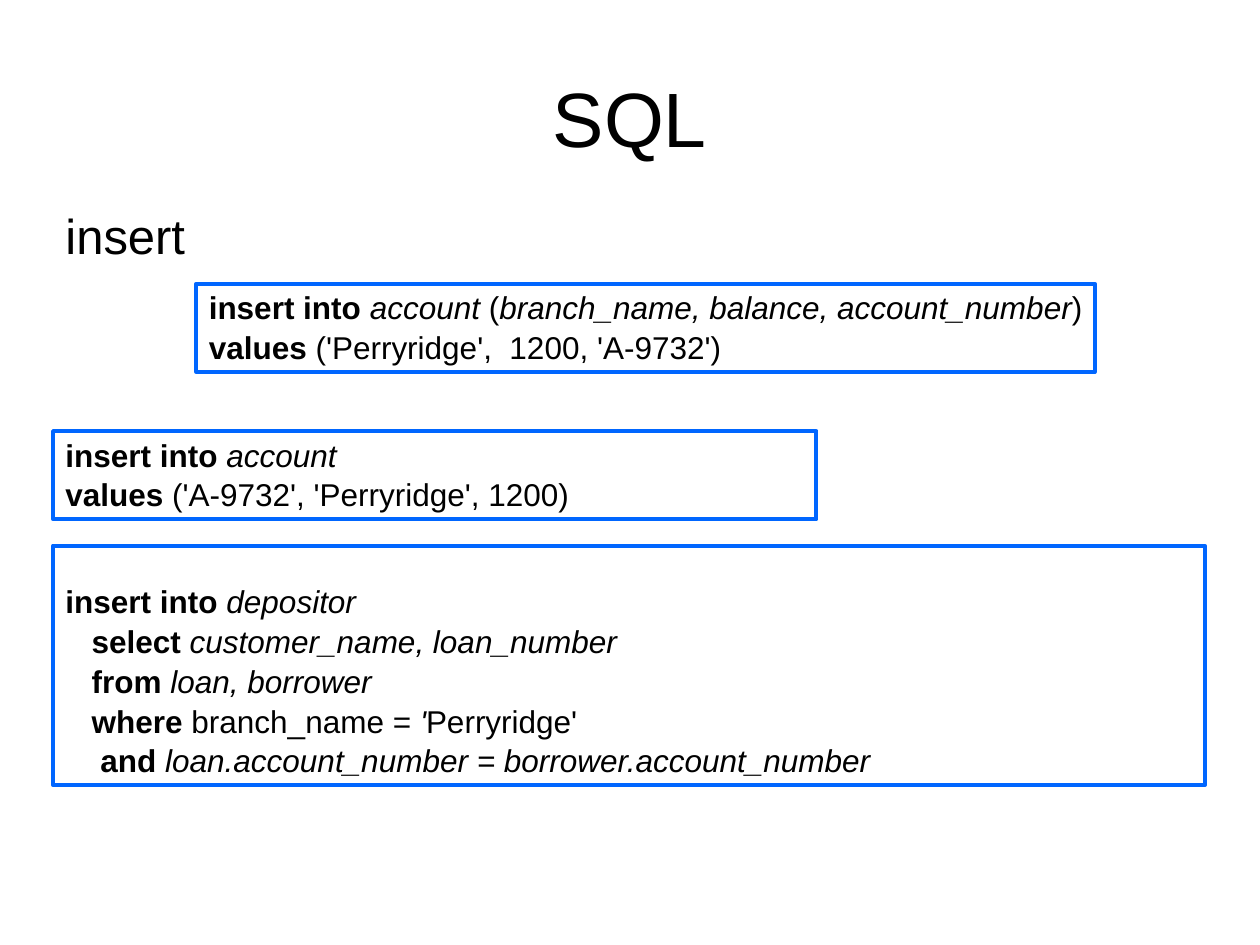
from lxml.etree import SubElement
from pptx import Presentation
from pptx.dml.color import RGBColor
from pptx.enum.shapes import MSO_SHAPE as Shape
from pptx.enum.text import MSO_ANCHOR as Anchor, PP_ALIGN as Align
from pptx.oxml.ns import qn
from pptx.util import Cm, Pt


def color(hex_string):
    return RGBColor.from_string(hex_string)


def style(para, size, align):
    para.alignment = align
    para.font.name = "Arial"
    para.font.size = Pt(size)
    para.font.color.rgb = color("000000")


deck = Presentation()
deck.slide_width, deck.slide_height = Cm(25.4), Cm(19.05)
page = deck.slides.add_slide(deck.slide_layouts[5])

title = page.shapes.title
title.left, title.top, title.width, title.height = Cm(1.27), Cm(0.76), Cm(22.86), Cm(3.18)
title.text_frame.text = "SQL"
title.text_frame.vertical_anchor = Anchor.MIDDLE
style(title.text_frame.paragraphs[0], 44, Align.CENTER)

statements = [
    (1.07, 11, 23.22, 4.83, True, [
        [("insert into ", "b"), ("depositor", "i")],
        [("   ", "i"), ("select ", "b"), ("customer_name, loan_number", "i")],
        [("   ", "i"), ("from ", "b"), ("loan, borrower", "i")],
        [("   ", "i"), ("where ", "b"), ("branch_name = ", ""), ("'", "i"), ("Perryridge'", "")],
        [("    and", "b"), (" loan.account_number = borrower.account_number", "i")],
    ]),
    (1.07, 8.69, 15.39, 1.78, True, [
        [("insert into ", "b"), ("account", "i")],
        [("values ", "b"), ("('A-9732', 'Perryridge', 1200)", "")],
    ]),
    (3.96, 5.72, 18.11, 1.78, False, [
        [("insert into ", "b"), ("account ", "i"), ("(", ""),
         ("branch_name, balance, account_number", "i"), (")", "")],
        [("values ", "b"), ("('Perryridge',  1200, 'A-9732')", "")],
    ]),
]
for left, top, width, height, wrap, lines in statements:
    box = page.shapes.add_shape(Shape.RECTANGLE, Cm(left), Cm(top), Cm(width), Cm(height))
    box.shadow.inherit = False
    box.fill.solid()
    box.fill.fore_color.rgb = color("FFFFFF")
    fill_color = box.fill._xPr.find(qn("a:solidFill"))[0]
    SubElement(fill_color, qn("a:alpha"), val="51000")
    box.line.color.rgb = color("0066FF")
    box.line.width = Pt(2.25)
    frame = box.text_frame
    frame.word_wrap = wrap
    frame.vertical_anchor = Anchor.BOTTOM
    para = frame.paragraphs[0]
    para.line_spacing = 1.05
    style(para, 18, Align.LEFT)
    for number, line in enumerate(lines):
        if number:
            para.add_line_break()
        for text, face in line:
            span = para.add_run()
            span.text = text
            span.font.bold = face == "b"
            span.font.italic = face == "i"

heading = page.shapes.add_textbox(Cm(1.07), Cm(4.01), Cm(7.42), Cm(1.45))
heading.text_frame.word_wrap = True
heading.text_frame.text = "insert"
style(heading.text_frame.paragraphs[0], 28, Align.LEFT)

deck.save("out.pptx")
